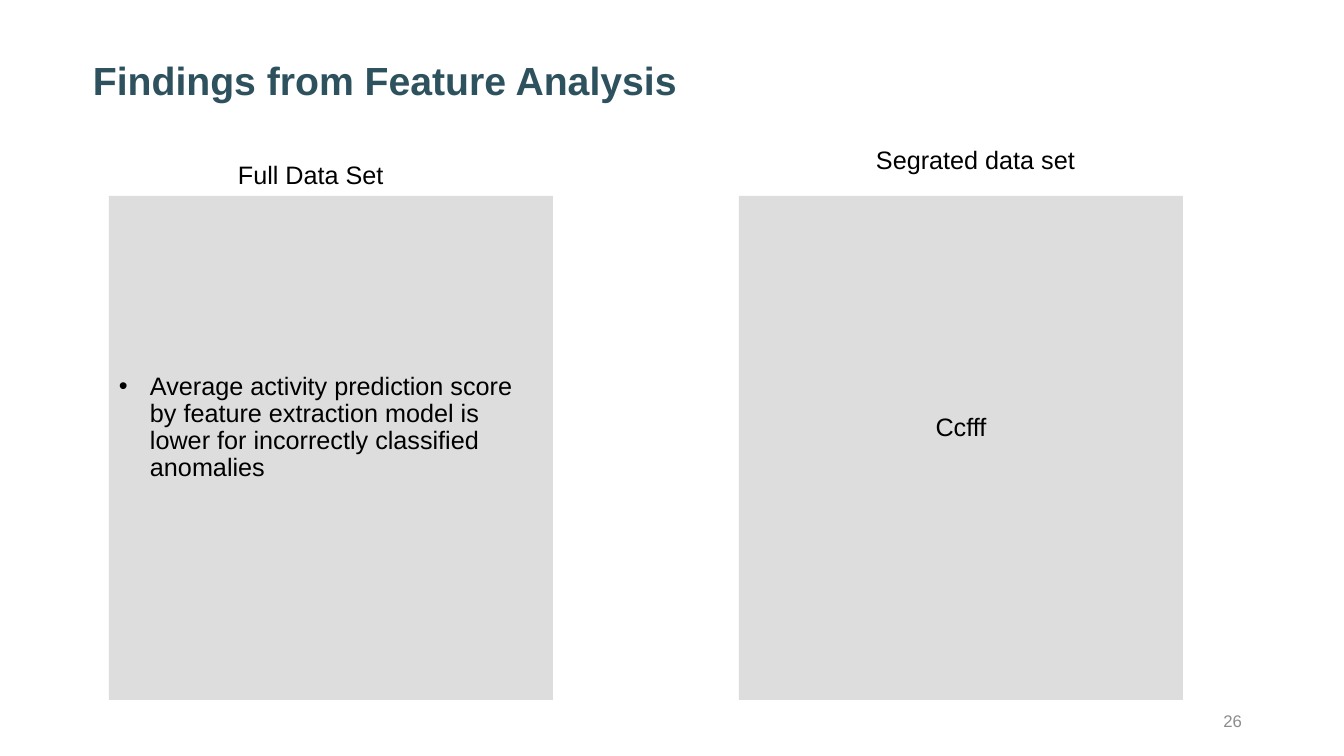
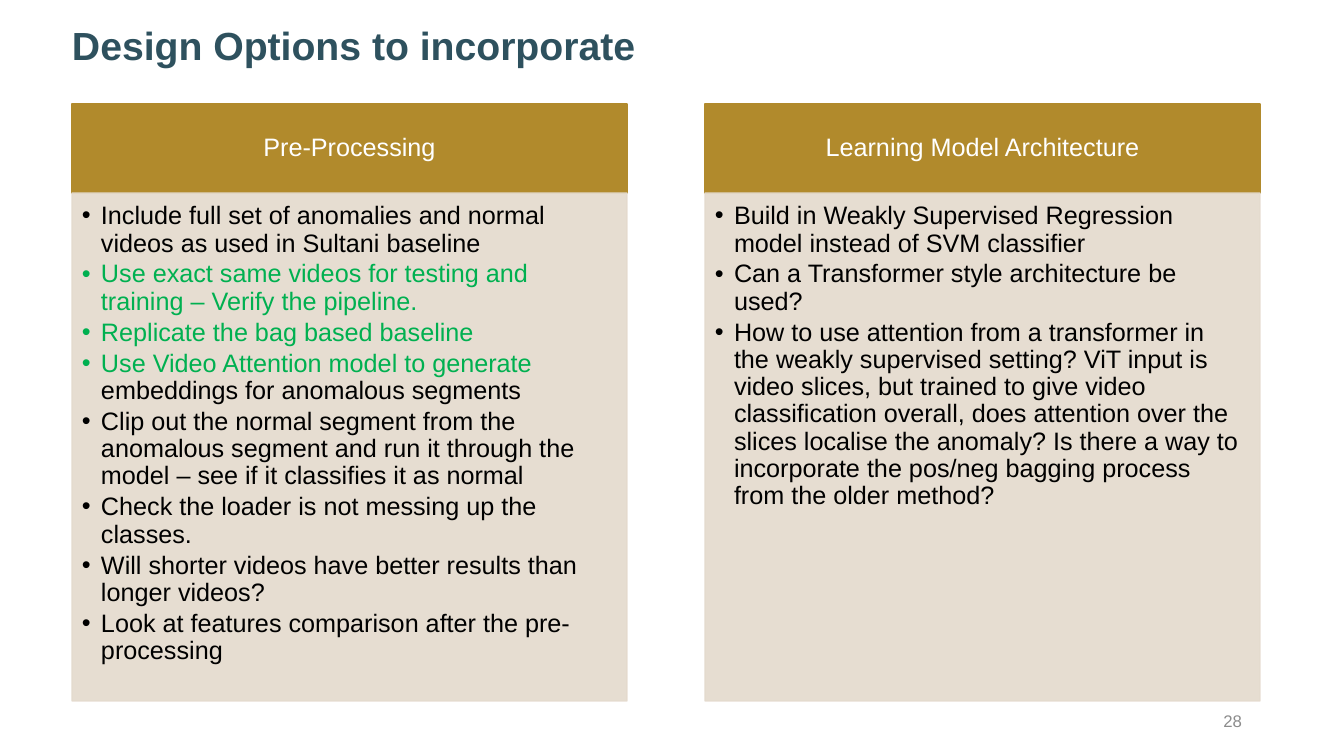
from dataclasses import dataclass

from lxml import etree
from pptx import Presentation
from pptx.dml.color import RGBColor
from pptx.enum.shapes import MSO_SHAPE
from pptx.enum.text import MSO_ANCHOR, PP_ALIGN
from pptx.oxml.ns import qn
from pptx.util import Emu, Pt

RECT = MSO_SHAPE.RECTANGLE
TOP, MID = MSO_ANCHOR.TOP, MSO_ANCHOR.MIDDLE
LEFT, MIDST, RIGHT = PP_ALIGN.LEFT, PP_ALIGN.CENTER, PP_ALIGN.RIGHT
SCALE = 914400 / 100.8
WIDE, HIGH = 1344, 756


@dataclass(frozen=True)
class Theme:
    font: str = "Arial"
    title: str = "2E515E"
    ink: str = "000000"
    light: str = "FFFFFF"
    mute: str = "8C8C8C"
    green: str = "00B050"
    gold: str = "B18A2C"
    sand: str = "E4DACD"
    gray: str = "DDDDDD"
    big: int = 28
    body: int = 18
    small: int = 12


THEME = Theme()


def px(num):
    return Emu(round(num * SCALE))


def write(shape, text, size=THEME.body, color=THEME.ink, bold=False, align=LEFT,
          anchor=TOP, pad=(10, 5, 10, 5), wrap=True, line=0.9, before=0, after=0, hang=0):
    """Text is a string or a list of items; an item is a string or (text, color) runs."""
    frame = shape.text_frame
    frame.word_wrap = wrap
    frame.vertical_anchor = anchor
    (frame.margin_left, frame.margin_top,
     frame.margin_right, frame.margin_bottom) = map(px, pad)
    items = [text] if isinstance(text, str) else text
    for i, item in enumerate(items):
        para = frame.add_paragraph() if i else frame.paragraphs[0]
        para.alignment = align
        para.line_spacing = line
        para.space_before, para.space_after = Pt(before), Pt(after)
        if hang:
            props = para._p.get_or_add_pPr()
            props.set("marL", str(px(hang)))
            props.set("indent", str(-px(hang)))
            etree.SubElement(props, qn("a:buFont")).set("typeface", THEME.font)
            etree.SubElement(props, qn("a:buChar")).set("char", "•")
        for part, tone in [(item, color)] if isinstance(item, str) else item:
            run = para.add_run()
            run.text = part
            run.font.name = THEME.font
            run.font.size = Pt(size)
            run.font.bold = bold
            run.font.color.rgb = RGBColor.from_string(tone)


def label(slide, box, text, **form):
    write(slide.shapes.add_textbox(*map(px, box)), text, **form)


def panel(slide, box, fill, text, edge=False, alpha=100, **form):
    shape = slide.shapes.add_shape(RECT, *map(px, box))
    shape.shadow.inherit = False
    paints = [shape.fill]
    if edge:
        shape.line.width = Pt(1)
        paints.append(shape.line.fill)
    else:
        shape.line.fill.background()
    for paint in paints:
        paint.solid()
        paint.fore_color.rgb = RGBColor.from_string(fill)
    if alpha < 100:
        for tone in shape._element.spPr.iter(qn("a:srgbClr")):
            etree.SubElement(tone, qn("a:alpha")).set("val", str(alpha * 1000))
    write(shape, text, **form)


def start(deck, title, left, top, page):
    """Blank slide with the shared title and page number."""
    slide = deck.slides.add_slide(deck.slide_layouts[6])
    label(slide, (left, top, 1161, 97), title, size=THEME.big, color=THEME.title,
          bold=True, pad=(0, 0, 0, 0))
    label(slide, (950, 701, 302, 40), page, size=THEME.small, color=THEME.mute,
          align=RIGHT, anchor=MID, line=1.0)
    return slide


def finding(slide, box, text, **form):
    # The deep lower inset lifts the text above the middle
    panel(slide, box, THEME.gray, text, anchor=MID, before=10, pad=(10, 5, 10, 45), **form)


def column(slide, box, head, items):
    left, top, width, height = box
    cap = 89
    panel(slide, (left, top, width, cap), THEME.gold, head, edge=True,
          color=THEME.light, align=MIDST, anchor=MID, pad=(14, 8, 14, 8))
    panel(slide, (left, top + cap, width, height - cap), THEME.sand, items, edge=True,
          alpha=90, pad=(10, 10, 14, 16), after=2.7, hang=19)


def findings(deck):
    slide = start(deck, "Findings from Feature Analysis", 93, 62, "26")
    # Gray panels
    finding(slide, (109, 196, 444, 504),
            "Average activity prediction score by feature extraction model is lower "
            "for incorrectly classified anomalies", hang=31)
    finding(slide, (739, 196, 444, 504), "Ccfff", align=MIDST)
    # Panel names
    label(slide, (228, 154, 167, 40), "Full Data Set", wrap=False, line=1.0)
    label(slide, (866, 139, 221, 40), "Segrated data set", wrap=False, line=1.0)


def options(deck):
    slide = start(deck, "Design Options to incorporate", 72, 27, "28")
    green, ink = THEME.green, THEME.ink
    steps = [
        "Include full set of anomalies and normal videos as used in Sultani baseline",
        [("Use exact same videos for testing and training – Verify the pipeline.", green)],
        [("Replicate the bag based baseline", green)],
        [("Use Video Attention model to generate ", green),
         ("embeddings for anomalous segments", ink)],
        "Clip out the normal segment from the anomalous segment and run it through "
        "the model – see if it classifies it as normal",
        "Check the loader is not messing up the classes.",
        "Will shorter videos have better results than longer videos?",
        "Look at features comparison after the pre-processing",
    ]
    ideas = [
        "Build in Weakly Supervised Regression model instead of SVM classifier",
        "Can a Transformer style architecture be used?",
        "How to use attention from a transformer in the weakly supervised setting? "
        "ViT input is video slices, but trained to give video classification overall, "
        "does attention over the slices localise the anomaly? Is there a way to "
        "incorporate the pos/neg bagging process from the older method?",
    ]
    # Two equal columns
    heads = [("Pre-Processing", steps), ("Learning Model Architecture", ideas)]
    for i, (head, items) in enumerate(heads):
        column(slide, (72 + i * 633, 104, 555, 597), head, items)


def main():
    deck = Presentation()
    deck.slide_width, deck.slide_height = px(WIDE), px(HIGH)
    findings(deck)
    options(deck)
    deck.save("out.pptx")


if __name__ == "__main__":
    main()
